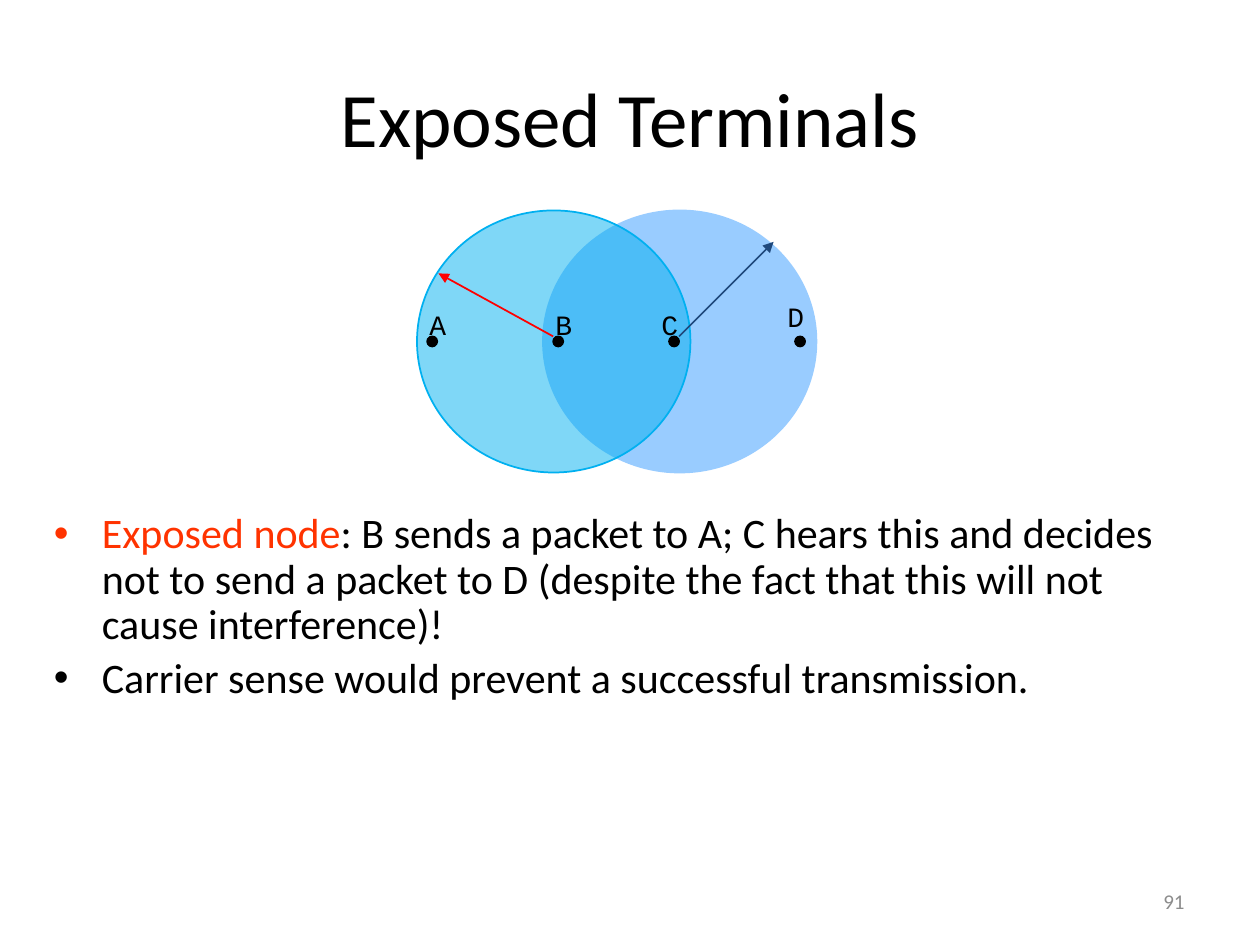
from lxml.etree import SubElement
from pptx import Presentation
from pptx.dml.color import RGBColor
from pptx.enum.shapes import MSO_CONNECTOR as Connector, MSO_SHAPE as Shape
from pptx.enum.text import MSO_ANCHOR as Anchor, PP_ALIGN as Align
from pptx.oxml.ns import qn
from pptx.util import Inches, Pt

WIDTH, HEIGHT = 10, 7.5
BLACK = "000000"
TITLE = "Exposed Terminals"
PAGE_NUMBER = "91"
BULLETS = [
    [("Exposed node", "FF3300"),
     (": B sends a packet to A; C hears this and decides not to send a packet "
      "to D (despite the fact that this will not cause interference)!", BLACK)],
    [("Carrier sense would prevent a successful transmission.", BLACK)],
]
RANGE_TOP, RANGE_WIDTH, RANGE_HEIGHT = 1.67, 2.17, 2.08
RANGES = [(4.31, "99CCFF", None), (3.31, "00B0F0", 50)]
NODE_TOP, NODE_SIZE = 2.67, 0.08
LABEL_WIDTH, LABEL_HEIGHT = 0.35, 0.36
NODES = [("A", 3.39, 3.3, 2.39), ("B", 4.39, 4.3, 2.39),
         ("C", 5.31, 5.14, 2.39), ("D", 6.31, 6.14, 2.33)]
ARROWS = [((5.39, NODE_TOP), (6.14, 1.92), "1F497D"),
          ((4.39, NODE_TOP), (3.48, 2.17), "FF0000")]


def color(value):
    return RGBColor.from_string(value)


def add_text(slide, paragraphs, box, size, font="Calibri", align=Align.LEFT,
             anchor=Anchor.TOP, wrap=True, bullet=False, line_spacing=1.0):
    frame = slide.shapes.add_textbox(*map(Inches, box)).text_frame
    frame.word_wrap = wrap
    frame.vertical_anchor = anchor
    for index, runs in enumerate(paragraphs):
        paragraph = frame.add_paragraph() if index else frame.paragraphs[0]
        paragraph.alignment = align
        paragraph.line_spacing = line_spacing
        if index:
            paragraph.space_before = Pt(0.2 * size)
        if bullet:
            properties = paragraph._p.get_or_add_pPr()
            properties.set("marL", str(Inches(0.38)))
            properties.set("indent", str(-Inches(0.38)))
            SubElement(properties, qn("a:buFont"), typeface="Arial")
            SubElement(properties, qn("a:buChar"), char="•")
        for text, run_color in runs:
            run = paragraph.add_run()
            run.text = text
            run.font.name = font
            run.font.size = Pt(size)
            run.font.color.rgb = color(run_color)


def add_ellipse(slide, box, fill, opacity=None):
    shape = slide.shapes.add_shape(Shape.OVAL, *map(Inches, box))
    shape.shadow.inherit = False
    shape.fill.solid()
    shape.fill.fore_color.rgb = color(fill)
    shape.line.color.rgb = color(fill)
    shape.line.width = Pt(1)
    if opacity is not None:
        fill_color = shape._element.spPr.find(qn("a:solidFill"))[0]
        SubElement(fill_color, qn("a:alpha"), val=str(opacity * 1000))


def add_arrow(slide, start, end, line_color):
    arrow = slide.shapes.add_connector(
        Connector.STRAIGHT, *map(Inches, start + end))
    arrow.line.color.rgb = color(line_color)
    arrow.line.width = Pt(1)
    SubElement(arrow.line._get_or_add_ln(), qn("a:tailEnd"), type="triangle")
    SubElement(arrow._element.spPr, qn("a:effectLst"))


def main():
    presentation = Presentation()
    presentation.slide_width = Inches(WIDTH)
    presentation.slide_height = Inches(HEIGHT)
    slide = presentation.slides.add_slide(presentation.slide_layouts[6])

    add_text(slide, [[(TITLE, BLACK)]], (0.5, 0.3, WIDTH - 1, 1.25), 44,
             align=Align.CENTER, anchor=Anchor.MIDDLE)
    add_text(slide, BULLETS, (0.33, 4.02, 9.17, 2.73), 24,
             bullet=True, line_spacing=0.9)
    for left, fill, opacity in RANGES:
        add_ellipse(slide, (left, RANGE_TOP, RANGE_WIDTH, RANGE_HEIGHT),
                    fill, opacity)
    for name, left, label_left, label_top in NODES:
        add_ellipse(slide, (left, NODE_TOP, NODE_SIZE, NODE_SIZE), BLACK)
        add_text(slide, [[(name, BLACK)]],
                 (label_left, label_top, LABEL_WIDTH, LABEL_HEIGHT), 16,
                 font="Courier New", align=Align.CENTER, wrap=False)
    for start, end, line_color in ARROWS:
        add_arrow(slide, start, end, line_color)
    add_text(slide, [[(PAGE_NUMBER, "8C8C8C")]], (7.17, 6.95, 2.33, 0.4), 12,
             align=Align.RIGHT, anchor=Anchor.MIDDLE)

    presentation.save("out.pptx")


if __name__ == "__main__":
    main()
